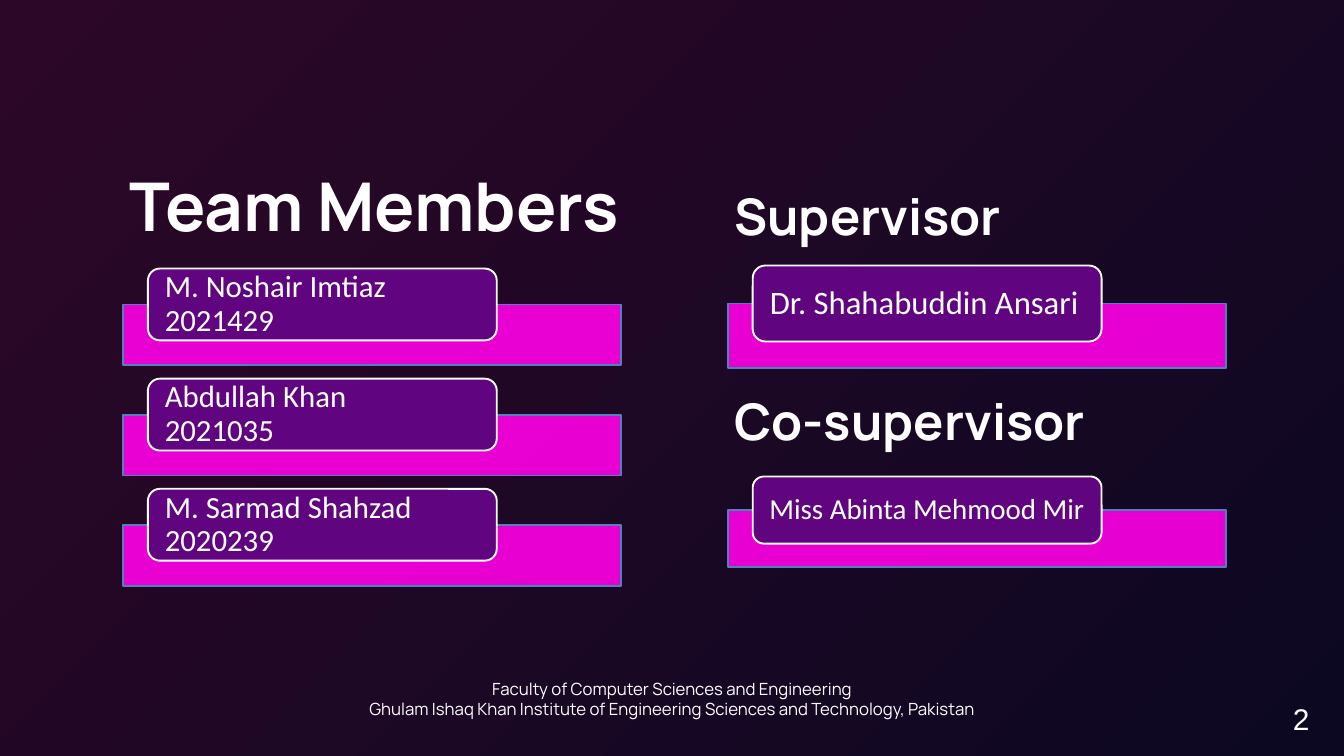
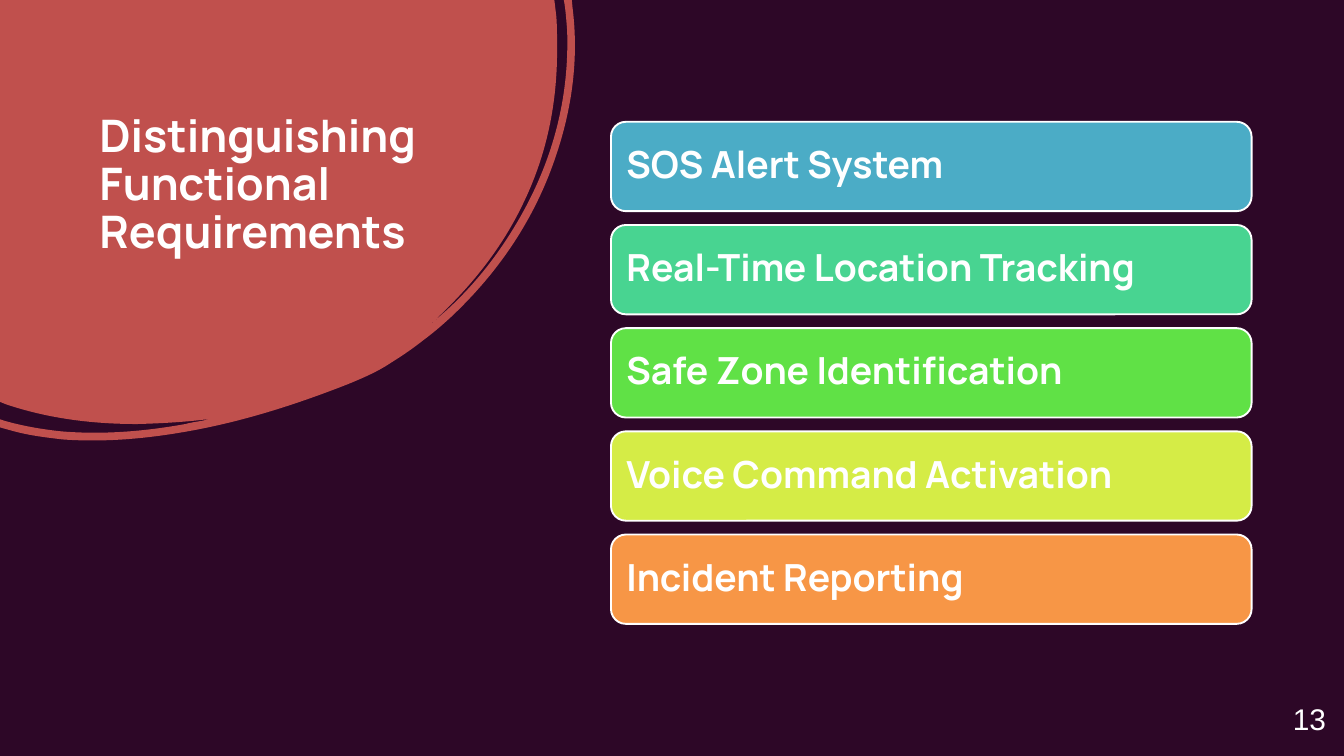
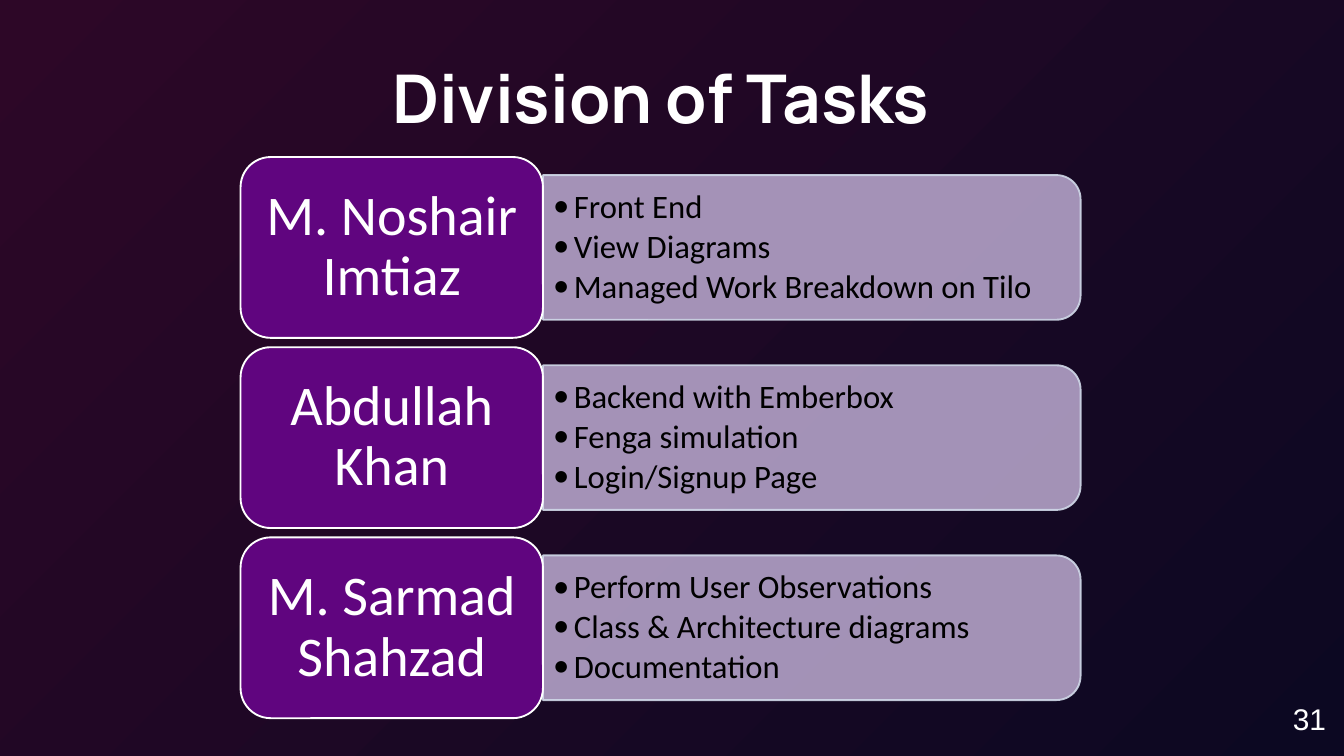
from pptx import Presentation
from pptx import util as u
from pptx.dml.color import RGBColor
from pptx.enum import shapes, text
from pptx.oxml.xmlchemy import OxmlElement

COLOURS = {
    "plum": "2D0727", "midnight": "0C0822", "white": "FFFFFF", "black": "000000",
    "magenta": "FF00E6", "blue": "4F81BD", "purple": "60057F", "red": "C0504D",
    "lavender": "B3A2C7", "mist": "D0D8E8", "teal": "4BACC6", "mint": "48D491",
    "green": "60E146", "lime": "D5EC46", "orange": "F79646",
}
ALIGN, ANCHOR, SHAPE = text.PP_ALIGN, text.MSO_ANCHOR, shapes.MSO_SHAPE

BLOB_UNIT = u.Pt(0.72)
BLOB_SIZE = (856, 655)
BLOB_STEPS = [
    (825, 0), (828, 25),
    (829, 39, 829, 54, 829, 68), (830, 152, 814, 231, 777, 306),
    (744, 374, 697, 431, 641, 482), (643, 481, 646, 479, 647, 477),
    (688, 443, 723, 403, 752, 359), (815, 264, 848, 160, 844, 45),
    (843, 32, 842, 18, 840, 5), (839, 0), (851, 0), (852, 11),
    (861, 81, 853, 153, 830, 224), (799, 321, 745, 402, 672, 471),
    (658, 484, 644, 496, 629, 507), (614, 519, 599, 529, 580, 541),
    (562, 553, 539, 563, 517, 572), (448, 599, 378, 622, 305, 637),
    (236, 651, 165, 659, 94, 654), (68, 651, 43, 648, 18, 641),
    (0, 636), (0, 624), (6, 626),
    (34, 634, 63, 639, 92, 642), (154, 647, 215, 642, 276, 631),
    (283, 629, 290, 628, 296, 627), (303, 626, 309, 624, 315, 623),
    (278, 628, 241, 630, 204, 631), (138, 631, 73, 623, 10, 602), (0, 598),
]


def rgb(name):
    """Return the colour with the given name."""
    return RGBColor.from_string(COLOURS[name])


def points(*lengths):
    """Turn numbers of points into lengths."""
    return [u.Pt(length) for length in lengths]


def make(tag, **values):
    """Return a new XML element with the given attributes."""
    element = OxmlElement(tag)
    for key, value in values.items():
        element.set(key, str(value))
    return element


def write(holder, lines, size, font="Manrope", colour="white", bold=False,
          align=ALIGN.LEFT, anchor=ANCHOR.TOP, insets=(7.2, 3.6),
          spacing=None, after=0, wrap=True):
    """Fill a shape with formatted paragraphs."""
    frame = holder.text_frame
    frame.auto_size = text.MSO_AUTO_SIZE.NONE
    frame.word_wrap = wrap
    frame.vertical_anchor = anchor
    frame.margin_left = frame.margin_right = u.Pt(insets[0])
    frame.margin_top = frame.margin_bottom = u.Pt(insets[1])
    for index, line in enumerate(lines):
        para = frame.add_paragraph() if index else frame.paragraphs[0]
        para.text = line
        para.alignment = align
        para.space_after = u.Pt(after)
        if spacing:
            para.line_spacing = spacing
        para.font.name, para.font.size = font, u.Pt(size)
        para.font.bold = bold
        para.font.color.rgb = rgb(colour)


def add_text(page, box, lines, size, **style):
    """Add a text box."""
    holder = page.shapes.add_textbox(*points(*box))
    write(holder, lines, size, **style)
    return holder


def add_panel(page, kind, box, fill, line):
    """Add a filled and outlined preset shape."""
    panel = page.shapes.add_shape(kind, *points(*box))
    panel.shadow.inherit = False
    panel.fill.solid()
    panel.fill.fore_color.rgb = rgb(fill)
    panel.line.color.rgb = rgb(line)
    panel.line.width = u.Pt(2)
    return panel


def fade(panel, query):
    """Make the colours found by the query 90 percent opaque."""
    for colour in panel._element.spPr.xpath(query):
        colour.append(make("a:alpha", val=90000))


def add_bullets(holder, indent, font):
    """Give every paragraph a hanging round bullet."""
    for para in holder.text_frame.paragraphs:
        properties = para._p.get_or_add_pPr()
        properties.set("marL", str(u.Pt(indent)))
        properties.set("indent", str(-u.Pt(indent)))
        run_style = properties.find("{*}defRPr")
        run_style.addprevious(make("a:buFont", typeface=font))
        run_style.addprevious(make("a:buChar", char="•"))


def add_page(deck, number, title, box, size=72, gradient=True, **style):
    """Add a slide with its background, title and number."""
    page = deck.slides.add_slide(deck.slide_layouts[5])
    fill = page.background.fill
    if gradient:
        fill.gradient()
        fill.gradient_angle = 315
        for stop, name in zip(fill.gradient_stops, ("plum", "midnight")):
            stop.color.rgb = rgb(name)
    else:
        fill.solid()
        fill.fore_color.rgb = rgb("plum")
    heading = page.shapes.title
    heading.left, heading.top, heading.width, heading.height = points(*box)
    write(heading, [title], size, bold=True, **style)
    add_text(page, (1378, 747.5, 62, 46), [number], 32, font="Arial", wrap=False)
    return page


def add_name_card(page, box, name, size):
    """Place a name card on a bar, from the card's top left and the bar's size."""
    left, top, width, height = box
    bar = add_panel(page, SHAPE.RECTANGLE, (left, top + 0.59 * height, width, height),
                    "magenta", "blue")
    fade(bar, "./a:solidFill/a:srgbClr")
    card = add_panel(page, SHAPE.ROUNDED_RECTANGLE,
                     (left + 0.05 * width, top, 0.7 * width, 1.18 * height),
                     "purple", "white")
    write(card, [name], size, font="Calibri", anchor=ANCHOR.MIDDLE,
          insets=(14.4, 0), spacing=0.9)


def add_task_row(page, box, name, tasks):
    """Place a member's card and the bar with the member's tasks."""
    left, top, width, height = box
    card_width, bar_height = 324, 0.8 * height
    bar_left, bar_width = left + card_width, width - card_width
    middle = top + height / 2
    bar = add_panel(page, SHAPE.ROUND_2_SAME_RECTANGLE,
                    (bar_left + (bar_width - bar_height) / 2, middle - bar_width / 2,
                     bar_height, bar_width), "lavender", "mist")
    bar.rotation = 90
    fade(bar, ".//a:srgbClr")
    listing = add_text(page, (bar_left, middle - 70, bar_width - 8, 140), tasks, 35,
                       font="Calibri", colour="black", anchor=ANCHOR.MIDDLE,
                       insets=(10.8, 5), spacing=0.9, after=5)
    add_bullets(listing, 22.3, "Calibri")
    card = add_panel(page, SHAPE.ROUNDED_RECTANGLE, (left, top, card_width, height),
                     "purple", "white")
    write(card, [name], 60, font="Calibri", align=ALIGN.CENTER,
          anchor=ANCHOR.MIDDLE, insets=(18, 9), spacing=0.9)


def bend(outline, steps):
    """Turn the straight segments of six-number steps into cubic curves."""
    for segment, step in zip(outline.xpath(".//a:lnTo"), steps):
        if len(step) == 6:
            curve = make("a:cubicBezTo")
            for x, y in zip(step[::2], step[1::2]):
                curve.append(make("a:pt", x=x, y=y))
            segment.getparent().replace(segment, curve)


def add_blob(page):
    """Draw the rounded corner patch behind the title."""
    builder = page.shapes.build_freeform(0, 0, scale=BLOB_UNIT)
    builder.add_line_segments([step[-2:] for step in BLOB_STEPS], close=True)
    blob = builder.convert_to_shape()
    bend(blob._element, BLOB_STEPS)
    blob.width, blob.height = [side * BLOB_UNIT for side in BLOB_SIZE]
    for frame in blob._element.xpath(".//a:path"):
        for key, side in zip("wh", BLOB_SIZE):
            frame.set(key, str(side))
    blob.shadow.inherit = False
    blob.fill.solid()
    blob.fill.fore_color.rgb = rgb("red")
    blob.line.fill.background()
    page.shapes.title._element.addprevious(blob._element)


def build_team(deck):
    """Build the slide of members and supervisors."""
    left, right, width = 131.75, 779.75, 534
    page = add_page(deck, "2", "Team Members", (left, 172.5, 598, 94))
    members = ["M. Noshair Imtiaz\v2021429", "Abdullah Khan\v2021035",
               "M. Sarmad Shahzad\v2020239"]
    for index, member in enumerate(members):
        add_name_card(page, (left, 287.75 + 118 * index, width, 65.25), member, 33)
    supervisors = [
        ("Supervisor", 194.5, "Dr. Shahabuddin Ansari", 284.5, 69, 35),
        ("Co-supervisor", 414.5, "Miss Abinta Mehmood Mir", 510.5, 61, 31),
    ]
    for role, role_top, name, top, height, size in supervisors:
        add_text(page, (right, role_top, 598, 73), [role], 54, bold=True)
        add_name_card(page, (right, top, width, height), name, size)
    add_text(page, (0, 723.5, 1440, 58),
             ["Faculty of Computer Sciences and Engineering\v"
              "Ghulam Ishaq Khan Institute of Engineering Sciences and Technology, Pakistan"],
             18, align=ALIGN.CENTER, wrap=False)


def build_requirements(deck):
    """Build the slide of functional requirements."""
    page = add_page(deck, "13", "Distinguishing Functional Requirements",
                    (99.25, 79.5, 380, 239.5), size=48, gradient=False,
                    anchor=ANCHOR.MIDDLE, spacing=0.9)
    add_blob(page)
    requirements = [
        ("SOS Alert System", "teal"), ("Real-Time Location Tracking", "mint"),
        ("Safe Zone Identification", "green"), ("Voice Command Activation", "lime"),
        ("Incident Reporting", "orange"),
    ]
    for index, (requirement, fill) in enumerate(requirements):
        panel = add_panel(page, SHAPE.ROUNDED_RECTANGLE,
                          (654.6, 130.5 + 110.55 * index, 686.4, 95.75), fill, "white")
        write(panel, [requirement], 40, bold=True, anchor=ANCHOR.MIDDLE,
              insets=(12, 12), spacing=0.9)


def build_tasks(deck):
    """Build the slide of each member's tasks."""
    page = add_page(deck, "31", "Division of Tasks", (114, 57, 1188, 94),
                    align=ALIGN.CENTER)
    duties = {
        "M. Noshair Imtiaz": ["Front End", "View Diagrams",
                              "Managed Work Breakdown on Tilo"],
        "Abdullah Khan": ["Backend with Emberbox", "Fenga simulation",
                          "Login/Signup Page"],
        "M. Sarmad Shahzad": ["Perform User Observations",
                              "Class & Architecture diagrams", "Documentation"],
    }
    for index, (name, tasks) in enumerate(duties.items()):
        add_task_row(page, (257.75, 168.25 + 203.75 * index, 900, 193.75), name, tasks)


def main():
    """Build and save the deck."""
    deck = Presentation()
    deck.slide_width, deck.slide_height = points(1440, 810)
    for build in (build_team, build_requirements, build_tasks):
        build(deck)
    deck.save("out.pptx")


if __name__ == "__main__":
    main()
